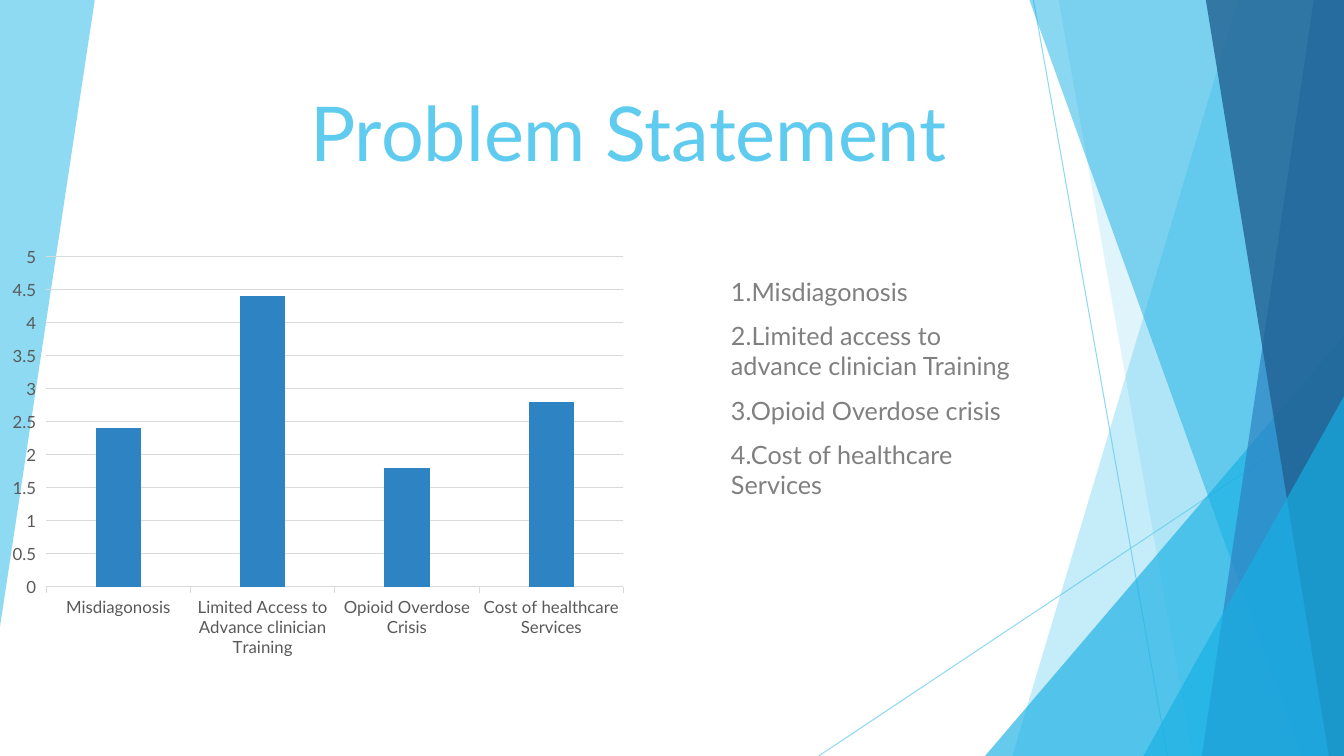
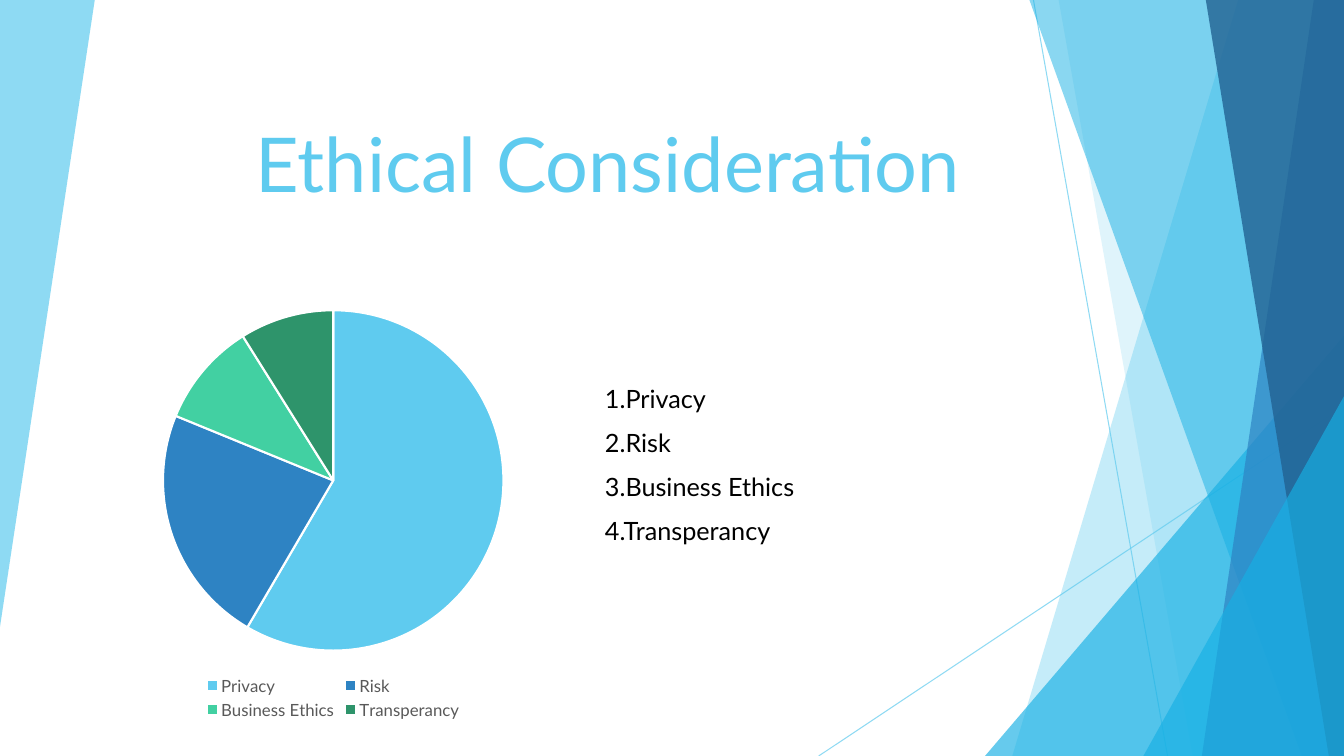
from lxml.etree import SubElement
from pptx import Presentation
from pptx.chart.data import CategoryChartData
from pptx.dml.color import RGBColor
from pptx.enum.chart import XL_CHART_TYPE as ChartType, XL_LEGEND_POSITION as LegendPosition
from pptx.enum.chart import XL_TICK_MARK as TickMark
from pptx.enum.shapes import MSO_CONNECTOR as Connector, MSO_SHAPE as Preset
from pptx.enum.text import MSO_ANCHOR as Anchor, MSO_AUTO_SIZE as AutoSize, PP_ALIGN as Align
from pptx.oxml.ns import qn
from pptx.util import Inches, Pt

COLORS = {
    "sky": "5FCBEF",
    "cyan": "17B0E4",
    "blue": "2E83C3",
    "navy": "226292",
    "mint": "42D0A2",
    "green": "2E946B",
    "label": "595959",
    "grid": "D9D9D9",
    "gray": "808080",
    "black": "000000",
    "white": "FFFFFF",
}
FONT = "Lato"
WIDTH, HEIGHT = 13.33, 7.5


def rgb(name):
    """Return the named palette colour."""
    return RGBColor.from_string(COLORS[name])


def set_opacity(shape, percent):
    """Make every solid colour of a shape partly transparent."""
    for color in shape.element.iter(qn("a:srgbClr")):
        SubElement(color, qn("a:alpha"), val=str(percent * 1000))


def paint(shape, color, opacity):
    """Give a shape a translucent fill without outline or shadow."""
    shape.fill.solid()
    shape.fill.fore_color.rgb = rgb(color)
    shape.line.fill.background()
    shape.shadow.inherit = False
    set_opacity(shape, opacity)


def add_polygon(slide, points, color, opacity):
    """Draw a closed translucent outline."""
    start, *others = [(Inches(x), Inches(y)) for x, y in points]
    builder = slide.shapes.build_freeform(*start)
    builder.add_line_segments(others, close=True)
    paint(builder.convert_to_shape(), color, opacity)


def add_band(slide, top_left, bottom_left, color, opacity):
    """Draw a full-height band that runs to the right edge."""
    points = [(top_left, 0), (WIDTH, 0), (WIDTH, HEIGHT), (bottom_left, HEIGHT)]
    add_polygon(slide, points, color, opacity)


def add_corner(slide, left, top):
    """Draw a right triangle in the bottom right corner."""
    corner = slide.shapes.add_shape(Preset.ISOSCELES_TRIANGLE, Inches(left), Inches(top),
                                    Inches(WIDTH - left), Inches(HEIGHT - top))
    corner.adjustments[0] = 1
    paint(corner, "cyan", 66)


def add_thin_line(slide, start, end):
    """Draw a thin translucent line."""
    points = [Inches(value) for value in (*start, *end)]
    line = slide.shapes.add_connector(Connector.STRAIGHT, *points)
    line.line.color.rgb = rgb("sky")
    line.line.width = Pt(0.75)
    set_opacity(line, 70)
    SubElement(line.element.spPr, qn("a:effectLst"))


def draw_backdrop(slide):
    """Draw the facets on a slide and move them to its layout."""
    add_polygon(slide, [(0, 0), (0.94, 0), (0, 6.22)], "sky", 70)
    add_thin_line(slide, (10.25, 0), (11.58, HEIGHT))
    add_thin_line(slide, (WIDTH, 4.03), (8.12, HEIGHT))
    add_band(slide, 12.28, 10.04, "sky", 36)
    add_band(slide, 10.5, 11.83, "sky", 20)
    add_corner(slide, 9.77, 3.33)
    add_band(slide, 10.21, 12.91, "cyan", 50)
    add_band(slide, 13.03, 11.92, "blue", 70)
    add_band(slide, 11.96, 13.18, "navy", 80)
    add_corner(slide, 11.34, 3.93)
    facets = [shape for shape in slide.shapes if not shape.is_placeholder]
    for number, facet in enumerate(facets, start=20):
        facet.element.xpath(".//p:cNvPr")[0].set("id", str(number))
        slide.slide_layout.shapes.element.append(facet.element)


def place(shape, box):
    """Set left, top, width and height of a shape in inches."""
    shape.left, shape.top, shape.width, shape.height = map(Inches, box)


def style_font(font, size, color):
    """Apply the deck typeface with a size and colour."""
    font.name = FONT
    font.size = Pt(size)
    font.color.rgb = rgb(color)


def write_text(shape, lines, size=18, color="black", align=Align.LEFT, anchor=Anchor.TOP, before=0):
    """Fill a placeholder with formatted paragraphs."""
    frame = shape.text_frame
    frame.word_wrap = True
    frame.auto_size = AutoSize.NONE
    frame.vertical_anchor = anchor
    frame.text = "\n".join(lines)
    for paragraph in frame.paragraphs:
        paragraph.alignment = align
        paragraph.space_before = Pt(before)
        for run in paragraph.runs:
            style_font(run.font, size, color)


def add_topic(slide, title, title_box, lines, list_box, list_color):
    """Fill the title and the list of a slide."""
    heading, body = slide.shapes.title, slide.placeholders[1]
    place(heading, title_box)
    write_text(heading, [title], size=54, color="sky", align=Align.RIGHT, anchor=Anchor.BOTTOM)
    place(body, list_box)
    write_text(body, lines, color=list_color, before=10)


def add_chart(slide, kind, box, categories, values):
    """Add a one-series chart in the deck typeface."""
    data = CategoryChartData()
    data.categories = categories
    data.add_series("Series 1", values)
    chart = slide.shapes.add_chart(kind, *map(Inches, box), data).chart
    style_font(chart.font, 10, "black")
    chart.has_title = False
    chart.has_legend = False
    return chart


def add_column_chart(slide, box, categories, values):
    """Add a column chart with light gridlines."""
    chart = add_chart(slide, ChartType.COLUMN_CLUSTERED, box, categories, values)
    plot = chart.plots[0]
    plot.vary_by_categories = False
    plot.gap_width, plot.overlap = 219, -27
    fill = plot.series[0].format.fill
    fill.solid()
    fill.fore_color.rgb = rgb("blue")
    category_axis, value_axis = chart.category_axis, chart.value_axis
    for axis in (category_axis, value_axis):
        axis.major_tick_mark = TickMark.OUTSIDE
        style_font(axis.tick_labels.font, 12, "label")
    value_axis.minimum_scale, value_axis.maximum_scale, value_axis.major_unit = 0, 5, 0.5
    value_axis.format.line.fill.background()
    for line in (category_axis.format.line, value_axis.major_gridlines.format.line):
        line.color.rgb = rgb("grid")
        line.width = Pt(0.75)


def add_pie_chart(slide, box, categories, values, colors):
    """Add a pie chart with a legend below."""
    chart = add_chart(slide, ChartType.PIE, box, categories, values)
    chart.has_legend = True
    chart.legend.position = LegendPosition.BOTTOM
    chart.legend.include_in_layout = False
    style_font(chart.legend.font, 12, "label")
    plot = chart.plots[0]
    plot.vary_by_categories = True
    for index, color in enumerate(colors):
        slice_format = plot.series[0].points[index].format
        slice_format.fill.solid()
        slice_format.fill.fore_color.rgb = rgb(color)
        slice_format.line.color.rgb = rgb("white")
        slice_format.line.width = Pt(1.5)


def main():
    """Build both slides and save the presentation."""
    presentation = Presentation()
    presentation.slide_width, presentation.slide_height = Inches(WIDTH), Inches(HEIGHT)
    layout = presentation.slide_layouts[0]

    problem = presentation.slides.add_slide(layout)
    draw_backdrop(problem)
    problems = ["1.Misdiagonosis", "2.Limited access to advance clinician Training",
                "3.Opioid Overdose crisis", "4.Cost of healthcare Services"]
    add_topic(problem, "Problem Statement", (1, 0, 8.49, 1.8),
              problems, (7.15, 2.69, 3.11, 3.46), "gray")
    causes = ["Misdiagonosis", "Limited Access to Advance clinician Training",
              "Opioid Overdose Crisis", "Cost of healthcare Services"]
    add_column_chart(problem, (0, 2.36, 6.31, 4.24), causes, [2.4, 4.4, 1.8, 2.8])

    ethics = presentation.slides.add_slide(layout)
    concerns = ["Privacy", "Risk", "Business Ethics", "Transperancy"]
    numbered = [f"{number}.{concern}" for number, concern in enumerate(concerns, start=1)]
    add_topic(ethics, "Ethical Consideration", (2.17, 0.31, 7.45, 1.8),
              numbered, (5.9, 3.75, 4.52, 2.54), "black")
    add_pie_chart(ethics, (1.27, 2.94, 4.07, 4.24), concerns, [59, 23, 10, 9],
                  ["sky", "blue", "mint", "green"])

    presentation.save("out.pptx")


if __name__ == "__main__":
    main()
